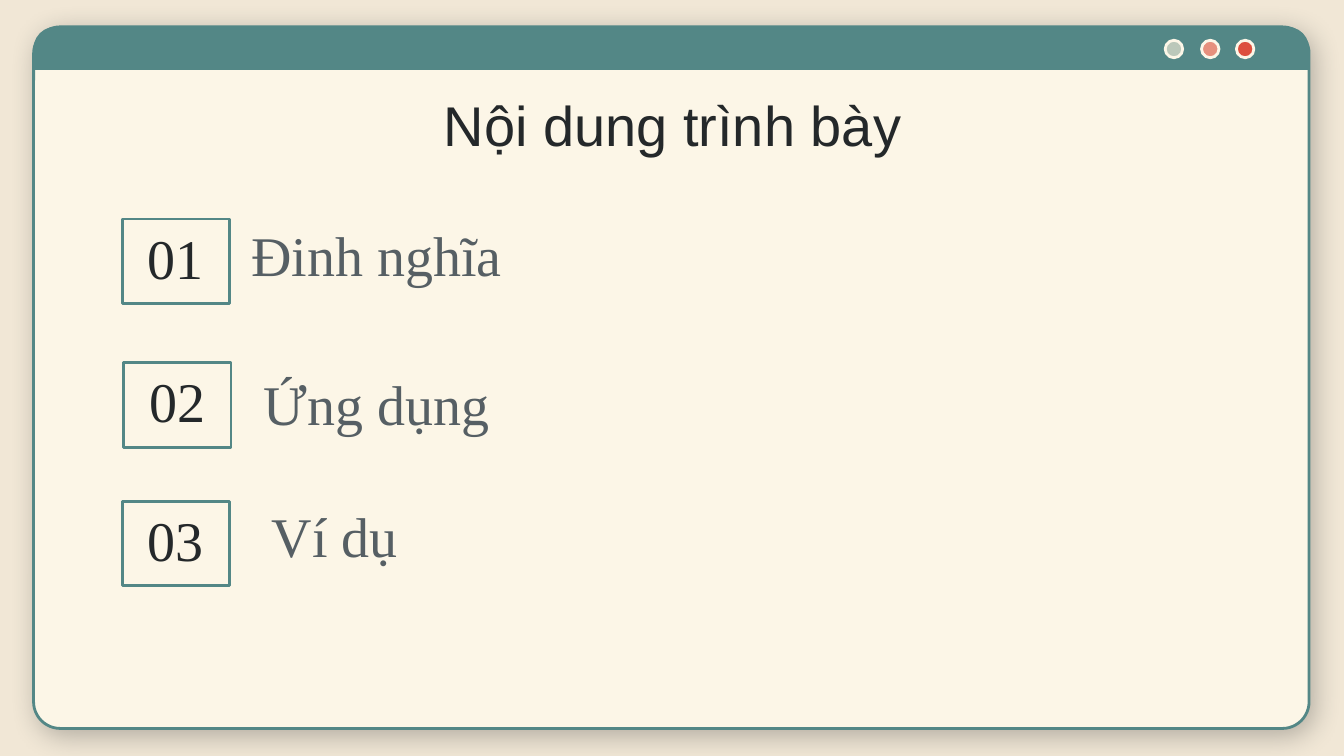
from lxml import etree
from pptx import Presentation
from pptx.dml.color import RGBColor
from pptx.enum.shapes import MSO_SHAPE
from pptx.enum.text import MSO_ANCHOR, MSO_AUTO_SIZE, PP_ALIGN
from pptx.oxml import parse_xml
from pptx.oxml.ns import nsdecls, qn
from pptx.util import Inches, Pt

TITLE_ONLY = 5
PANEL = MSO_SHAPE.ROUNDED_RECTANGLE
BAR = MSO_SHAPE.ROUND_2_SAME_RECTANGLE
DOT = MSO_SHAPE.OVAL
SQUARE = MSO_SHAPE.RECTANGLE
TOP, BOTTOM = MSO_ANCHOR.TOP, MSO_ANCHOR.BOTTOM
CENTER = PP_ALIGN.CENTER
NO_FIT = MSO_AUTO_SIZE.NONE

COLORS = {
    "background": "F1E7D6",
    "cream": "FCF6E7",
    "teal": "538786",
    "sage": "BBC8BA",
    "salmon": "E6907D",
    "red": "DD4F3D",
    "dark": "24282A",
    "gray": "565F64",
}
SERIF, SANS = "Times New Roman", "Arial"

SECTIONS = [
    ("01", (0.91, 1.63), "Đinh nghĩa ", (1.31, 1.54, 2.92, 0.77)),
    ("02", (0.92, 2.7), "Ứng dụng ", (1.31, 2.65, 2.92, 0.89)),
    ("03", (0.91, 3.73), "Ví dụ", (1.01, 3.63, 2.79, 0.82)),
]


def color(name):
    """Return the named palette colour."""
    return RGBColor.from_string(COLORS[name])


def add_figure(page, kind, place, fill=None, line=None):
    """Add a preset shape with an optional fill and outline."""
    figure = page.shapes.add_shape(kind, *map(Inches, place))
    figure.shadow.inherit = False
    if fill:
        figure.fill.solid()
        figure.fill.fore_color.rgb = color(fill)
    else:
        figure.fill.background()
    if line:
        figure.line.color.rgb = color(line)
        figure.line.width = Pt(1.5)
    else:
        figure.line.fill.background()
    return figure


def add_soft_shadow(figure):
    """Give a shape a blurred, translucent outer shadow."""
    effects = figure.element.spPr.find(qn("a:effectLst"))
    shadow = parse_xml(
        f'<a:outerShdw {nsdecls("a")} blurRad="{Pt(14.6)}" dist="{Pt(3.8)}" '
        f'dir="{50 * 60000}" algn="bl" rotWithShape="0"/>'
    )
    tint = etree.SubElement(shadow, qn("a:srgbClr"), val=COLORS["dark"])
    etree.SubElement(tint, qn("a:alpha"), val="30000")
    effects.append(shadow)


def write(box, text, font, tone, anchor=TOP):
    """Write one centred line of 30 pt text into a box."""
    frame = box.text_frame
    frame.word_wrap = True
    frame.auto_size = NO_FIT
    frame.vertical_anchor = anchor
    frame.margin_left = frame.margin_right = Inches(0.1)
    frame.margin_top = frame.margin_bottom = Inches(0.1)
    para = frame.paragraphs[0]
    para.alignment = CENTER
    span = para.add_run()
    span.text = text
    span.font.name = font
    span.font.size = Pt(30)
    span.font.color.rgb = color(tone)
    return para


def add_window(page):
    """Draw the window panel with its title bar and three buttons."""
    panel = add_figure(page, PANEL, (0.25, 0.2, 9.49, 5.22), "cream", "teal")
    panel.adjustments[0] = 0.038
    add_soft_shadow(panel)
    bar = add_figure(page, BAR, (0.25, 0.2, 9.49, 0.32), "teal")
    bar.adjustments[0] = 0.5
    for left, fill in ((8.67, "sage"), (8.94, "salmon"), (9.2, "red")):
        add_figure(page, DOT, (left, 0.3, 0.13, 0.13), fill, "cream")


def add_title(page, text):
    """Place and fill the title placeholder in front of the window."""
    title = page.shapes.title
    title.left, title.top = Inches(0.79), Inches(0.57)
    title.width, title.height = Inches(8.43), Inches(0.63)
    write(title, text, SANS, "dark")
    page.shapes.element.append(title.element)


def add_section(page, number, corner, label, place):
    """Add a framed section number and its label."""
    frame = add_figure(page, SQUARE, (*corner, 0.8, 0.63), line="teal")
    write(frame, number, SERIF, "dark", BOTTOM)
    box = page.shapes.add_textbox(*map(Inches, place))
    para = write(box, label, SERIF, "gray")
    properties = para._p.get_or_add_pPr()
    properties.set("marL", str(Inches(0.5)))
    properties.set("indent", str(Inches(-0.33)))


def main():
    """Build the agenda slide and save the deck."""
    deck = Presentation()
    deck.slide_width = Inches(10)
    deck.slide_height = deck.slide_width * 9 // 16
    page = deck.slides.add_slide(deck.slide_layouts[TITLE_ONLY])
    page.background.fill.solid()
    page.background.fill.fore_color.rgb = color("background")
    add_window(page)
    for section in SECTIONS:
        add_section(page, *section)
    add_title(page, "Nội dung trình bày")
    deck.save("out.pptx")


if __name__ == "__main__":
    main()
